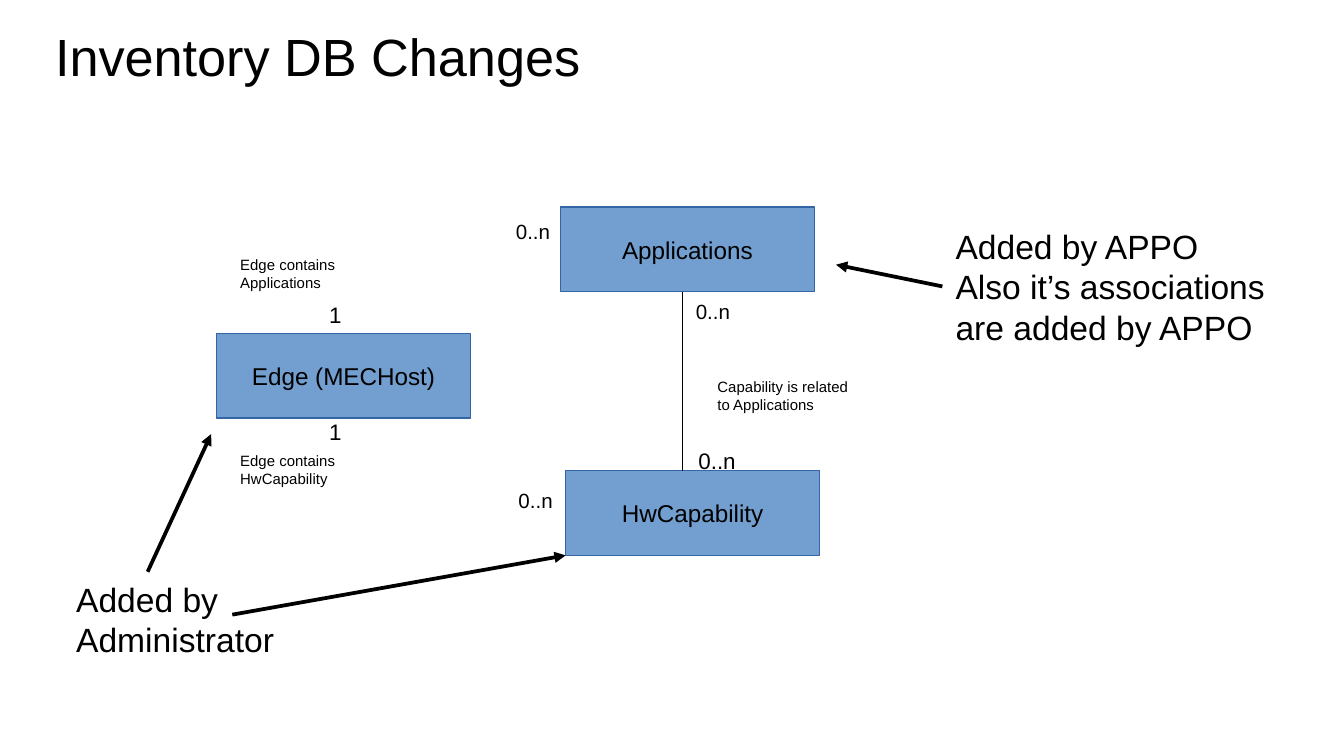
from lxml.etree import SubElement
from pptx import Presentation
from pptx.dml.color import RGBColor
from pptx.enum.shapes import MSO_CONNECTOR, MSO_SHAPE
from pptx.enum.text import MSO_ANCHOR, MSO_AUTO_SIZE, PP_ALIGN
from pptx.oxml.ns import qn
from pptx.util import Cm, Pt

BLACK = RGBColor(0x00, 0x00, 0x00)
ENTITY_FILL = RGBColor(0x72, 0x9F, 0xCF)
ENTITY_BORDER = RGBColor(0x34, 0x65, 0xA4)
FONT = "Arial"
ENTITY_SIZE = (4.8, 1.6)
HAIRLINE = 0


def write(frame, text, size, align=PP_ALIGN.LEFT, anchor=MSO_ANCHOR.TOP,
          wrap=False, inset=0.13):
    """Fill a text frame, one paragraph for each line of the text."""
    frame.auto_size = MSO_AUTO_SIZE.NONE
    frame.word_wrap = wrap
    frame.vertical_anchor = anchor
    frame.margin_left = frame.margin_right = Cm(0.25)
    frame.margin_top = frame.margin_bottom = Cm(inset)
    frame.text = text
    for paragraph in frame.paragraphs:
        paragraph.alignment = align
        paragraph.font.name = FONT
        paragraph.font.size = Pt(size)
        paragraph.font.color.rgb = BLACK


def add_label(slide, box, text, size, wrap=False):
    label = slide.shapes.add_textbox(*map(Cm, box))
    write(label.text_frame, text, size, wrap=wrap)


def add_line(slide, start, end, width=0.75, arrow=False):
    line = slide.shapes.add_connector(MSO_CONNECTOR.STRAIGHT, *map(Cm, start + end))
    line.line.color.rgb = BLACK
    line.line.width = Pt(width)
    if arrow:
        SubElement(line.line._get_or_add_ln(), qn("a:tailEnd"), type="triangle")
    SubElement(line._element.spPr, qn("a:effectLst"))


def add_title(slide, box, text):
    title = slide.shapes.title
    title.left, title.top, title.width, title.height = map(Cm, box)
    write(title.text_frame, text, 28, wrap=True, inset=0.25)


def add_entity(slide, box, name, labels):
    """Draw an entity and its labels, each offset from the entity's corner."""
    left, top, width, height = box
    entity = slide.shapes.add_shape(MSO_SHAPE.RECTANGLE, *map(Cm, box))
    entity.shadow.inherit = False
    entity.fill.solid()
    entity.fill.fore_color.rgb = ENTITY_FILL
    entity.line.color.rgb = ENTITY_BORDER
    entity.line.width = Pt(0.75)
    write(entity.text_frame, name, 13, PP_ALIGN.CENTER, MSO_ANCHOR.MIDDLE)
    for text, size, dx, dy, label_width, label_height in labels:
        add_label(slide, (left + dx, top + dy, label_width, label_height), text, size)


def add_association(slide, box, text):
    """Draw the vertical line on the left edge of the box, its text beside it."""
    left, top, width, height = box
    add_line(slide, (left, top), (left, top + height))
    add_label(slide, (left + 0.41, top + 1.5, width, 0.89), text, 8, wrap=True)


def add_note(slide, box, text, arrows):
    """Write a note with arrows, each given by offsets from the note's corner."""
    left, top = box[:2]
    add_label(slide, box, text, 18, wrap=True)
    for start_x, start_y, end_x, end_y in arrows:
        add_line(slide, (left + start_x, top + start_y),
                 (left + end_x, top + end_y), HAIRLINE, arrow=True)


def main():
    presentation = Presentation()
    presentation.slide_width, presentation.slide_height = Cm(25.4), Cm(14.28)
    slide = presentation.slides.add_slide(presentation.slide_layouts[5])

    add_title(slide, (0.79, 0.2, 23.67, 1.57), "Inventory DB Changes")

    one = (0.74, 0.71)
    many = (1.14, 0.69)
    relation = (2.39, 0.89)
    add_entity(slide, (4.09, 6.3, *ENTITY_SIZE), "Edge (MECHost)", [
        ("Edge contains\nApplications", 8, 0.2, -1.6, *relation),
        ("1", 12, 1.88, -0.74, *one),
        ("1", 12, 1.88, 1.47, *one),
        ("Edge contains\nHwCapability", 8, 0.2, 2.11, *relation),
    ])
    add_entity(slide, (10.69, 8.89, *ENTITY_SIZE), "HwCapability", [
        ("0..n", 11, -1.14, 0.2, *many),
        ("0..n", 12, 2.26, -0.58, 1.22, 0.71),
    ])
    add_entity(slide, (10.59, 3.91, *ENTITY_SIZE), "Applications", [
        ("0..n", 11, -1.09, 0.1, *many),
        ("0..n", 11, 2.31, 1.6, *many),
    ])
    add_association(slide, (12.9, 5.51, 3, 3.38),
                    "Capability is related to Applications")

    add_note(slide, (17.81, 4.14, 6.68, 2.39),
             "Added by APPO\nAlso it’s associations are added by APPO",
             [(0, 1.27, -2.01, 0.86)])
    add_note(slide, (1.19, 10.8, 6.68, 1.68), "Added by Administrator",
             [(1.6, 0, 2.8, -2.6), (3.2, 0.81, 9.5, -0.31)])

    presentation.save("out.pptx")


if __name__ == "__main__":
    main()
